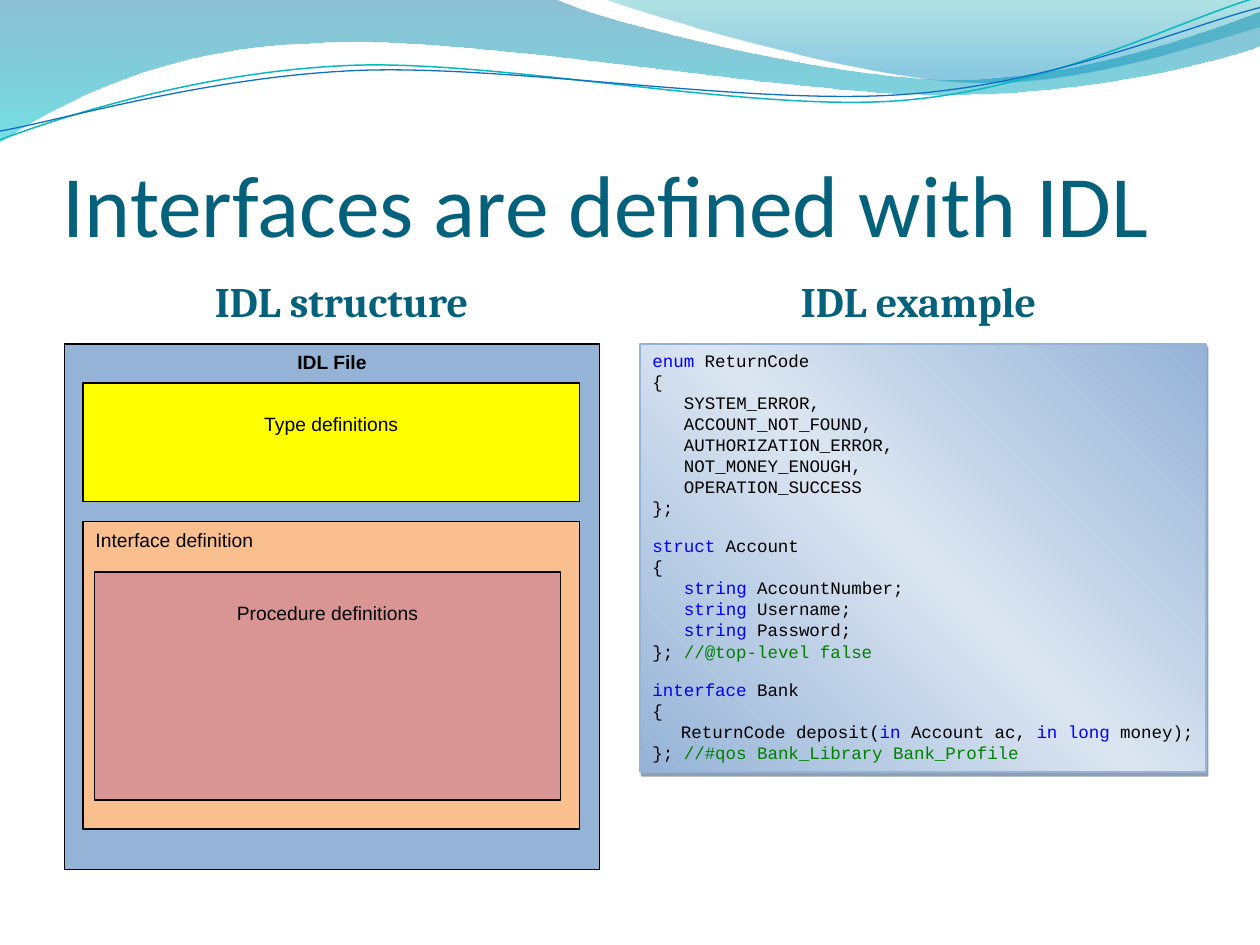
import pptx
import pptx.util
import pptx.dml.color
import pptx.enum.shapes
import pptx.enum.text
import pptx.oxml
import pptx.oxml.ns
from dataclasses import dataclass

Inches = pptx.util.Inches
Pt = pptx.util.Pt
ALIGN = pptx.enum.text.PP_ALIGN
ANCHOR = pptx.enum.text.MSO_ANCHOR
qn = pptx.oxml.ns.qn


@dataclass(frozen=True)
class Theme:
    heading: str = "04617B"
    text: str = "000000"
    keyword: str = "0000FF"
    comment: str = "008000"
    file: str = "95B3D7"
    types: str = "FFFF00"
    interface: str = "FABF8F"
    procedures: str = "D99594"
    code_light: str = "DBE5F1"
    code_shadow: str = "243F60"
    teal_line: str = "0AB8BF"
    blue_line: str = "0F6FC6"
    wave_back: tuple = ((0, "0074A1", 45), (100, "00C6CF", 55))
    wave_front: tuple = ((0, "00A1A9", 30), (80, "008BBF", 45))
    title_font: str = "Calibri"
    heading_font: str = "Cambria"
    box_font: str = "Arial"
    code_font: str = "Courier New"
    title_size: float = 50
    heading_size: float = 24
    box_size: float = 11
    code_size: float = 10


def rgb(value):
    return pptx.dml.color.RGBColor.from_string(value)


def drawing_xml(tag, attributes="", inner=""):
    return pptx.oxml.parse_xml(
        f"<a:{tag} {pptx.oxml.ns.nsdecls('a')} {attributes}>{inner}</a:{tag}>")


def color_xml(color, alpha):
    return f'<a:srgbClr val="{color}"><a:alpha val="{alpha * 1000}"/></a:srgbClr>'


class Deck:
    def __init__(self, theme):
        self.theme = theme
        self.prs = pptx.Presentation()
        self.prs.slide_width, self.prs.slide_height = Inches(10), Inches(7.5)
        self.slide = self.prs.slides.add_slide(self.prs.slide_layouts[6])

    def outline(self, sp, color, width):
        sp.line.color.rgb = rgb(color)
        sp.line.width = Pt(width)

    def gradient(self, sp, stops, angle):
        sp.fill.background()
        inner = "".join(f'<a:gs pos="{pos * 1000}">{color_xml(color, alpha)}</a:gs>'
                        for pos, color, alpha in stops)
        grad = drawing_xml("gradFill", 'rotWithShape="1"',
                           f'<a:gsLst>{inner}</a:gsLst><a:lin ang="{angle * 60000}" scaled="0"/>')
        props = sp.element.spPr
        props.replace(props.find(qn("a:noFill")), grad)

    def wave(self, start, segments, stops=None, line=None, width=0.75):
        points = [(Inches(x), Inches(y)) for seg in segments
                  for x, y in zip(seg[::2], seg[1::2])]
        builder = self.slide.shapes.build_freeform(*map(Inches, start), scale=1.0)
        builder.add_line_segments(points, close=stops is not None)
        sp = builder.convert_to_shape()
        steps = iter(list(sp.element.iter(qn("a:lnTo"))))
        for seg in segments:
            group = [next(steps) for _ in range(len(seg) // 2)]
            if len(group) == 3:
                curve = drawing_xml("cubicBezTo")
                group[0].addprevious(curve)
                for step in group:
                    curve.append(step[0])
                    step.getparent().remove(step)
        sp.shadow.inherit = False
        if stops:
            self.gradient(sp, stops, 90)
            sp.line.fill.background()
        else:
            sp.fill.background()
            self.outline(sp, line, width)

    def run(self, p, text, font, size, color, bold=False):
        r = p.add_run()
        r.text = text
        r.font.name, r.font.size, r.font.bold = font, Pt(size), bold
        r.font.color.rgb = rgb(color)

    def frame(self, sp, anchor, left, top, right, bottom):
        tf = sp.text_frame
        tf.word_wrap = True
        tf.vertical_anchor = anchor
        tf.margin_left, tf.margin_top = Inches(left), Inches(top)
        tf.margin_right, tf.margin_bottom = Inches(right), Inches(bottom)
        return tf

    def title(self, text, box):
        sp = self.slide.shapes.add_textbox(*map(Inches, box))
        p = self.frame(sp, ANCHOR.BOTTOM, 0, 0.05, 0, 0).paragraphs[0]
        self.run(p, text, self.theme.title_font, self.theme.title_size, self.theme.heading)

    def heading(self, text, box):
        sp = self.slide.shapes.add_textbox(*map(Inches, box))
        p = self.frame(sp, ANCHOR.MIDDLE, 0.05, 0, 0.05, 0).paragraphs[0]
        p.alignment = ALIGN.CENTER
        p.space_before = Pt(4.8)
        self.run(p, text, self.theme.heading_font, self.theme.heading_size,
                 self.theme.heading, True)

    def rect(self, box):
        sp = self.slide.shapes.add_shape(pptx.enum.shapes.MSO_SHAPE.RECTANGLE, *map(Inches, box))
        sp.shadow.inherit = False
        return sp

    def block(self, text, box, fill, align=ALIGN.CENTER, top=0.05, bold=False):
        sp = self.rect(box)
        sp.fill.solid()
        sp.fill.fore_color.rgb = rgb(fill)
        self.outline(sp, self.theme.text, 0.75)
        p = self.frame(sp, ANCHOR.TOP, 0.1, top, 0.1, 0.05).paragraphs[0]
        p.alignment = align
        self.run(p, text, self.theme.box_font, self.theme.box_size, self.theme.text, bold)

    def code(self, lines, box):
        theme = self.theme
        sp = self.rect(box)
        self.gradient(sp, [(0, theme.file, 100), (50, theme.code_light, 100),
                           (100, theme.file, 100)], 315)
        self.outline(sp, theme.file, 1)
        sp.element.spPr.find(qn("a:effectLst")).append(drawing_xml(
            "outerShdw", f'dist="{Pt(2.2)}" dir="{63 * 60000}" algn="ctr" rotWithShape="0"',
            color_xml(theme.code_shadow, 50)))
        tf = self.frame(sp, ANCHOR.TOP, 0.1, 0.05, 0.1, 0.05)
        for i, (style, *runs) in enumerate(lines):
            p = tf.paragraphs[0] if i == 0 else tf.add_paragraph()
            p.alignment = ALIGN.RIGHT if style == "right" else ALIGN.LEFT
            if style == "gap":
                p.space_before = Pt(9.7)
            if style == "indent":
                p._p.get_or_add_pPr().set("marL", str(Inches(0.25)))
            for kind, text in runs:
                self.run(p, text, theme.code_font, theme.code_size, getattr(theme, kind))


def plain(text, style=""):
    return (style, ("text", text))


def member(name):
    return ("indent", ("keyword", "string"), ("text", f" {name};"))


def declare(keyword, name, style=""):
    return (style, ("keyword", keyword), ("text", f" {name}"))


def close(comment):
    return ("", ("text", "}; "), ("comment", comment))


def main():
    theme = Theme()
    deck = Deck(theme)
    deck.wave((0, 0), [(4.4, -0.01), (4.76, 0.17, 6.64, 0.63, 7.58, 0.63),
                       (8.53, 0.63, 9.58, 0.26, 10, 0.09), (10.01, 0.36),
                       (9.83, 0.44, 8.7, 0.76, 7.46, 0.75),
                       (6.22, 0.75, 3.82, 0.28, 2.57, 0.34),
                       (1.29, 0.36, 0.46, 0.83, -0.01, 1.13)], stops=theme.wave_back)
    deck.wave((4.79, -0.01), [(5.09, 0.11, 6.82, 0.62, 7.69, 0.65),
                              (8.56, 0.69, 9.61, 0.32, 10, 0.21), (10, 0)],
              stops=theme.wave_front)
    deck.wave((0, 1.11), [(0.48, 0.93, 1.58, 0.57, 2.77, 0.52),
                          (3.95, 0.47, 5.93, 0.89, 7.13, 0.8),
                          (8.33, 0.71, 9.38, 0.15, 9.98, -0.02)],
              line=theme.teal_line, width=0.85)
    deck.wave((0, 1.04), [(0.47, 0.96, 1.64, 0.61, 2.83, 0.56),
                          (4.03, 0.51, 5.97, 0.84, 7.17, 0.75),
                          (8.36, 0.67, 9.41, 0.21, 10, 0.06)], line=theme.blue_line)

    deck.title("Interfaces are defined with IDL", (0.5, 0.77, 9, 1.25))
    for text, left in (("IDL structure", 0.5), ("IDL example", 5.08)):
        deck.heading(text, (left, 2.03, 4.42, 0.72))

    deck.block("IDL File", (0.51, 2.73, 4.25, 4.17), theme.file, bold=True)
    deck.block("Type definitions", (0.66, 3.04, 3.94, 0.94), theme.types, top=0.23)
    deck.block("Interface definition", (0.66, 4.14, 3.94, 2.44), theme.interface, ALIGN.LEFT)
    deck.block("Procedure definitions", (0.75, 4.54, 3.7, 1.81), theme.procedures, top=0.23)

    codes = ("SYSTEM_ERROR,", "ACCOUNT_NOT_FOUND,", "AUTHORIZATION_ERROR,",
             "NOT_MONEY_ENOUGH,", "OPERATION_SUCCESS")
    deposit = ("right", ("text", "ReturnCode deposit("), ("keyword", "in"),
               ("text", " Account ac, "), ("keyword", "in long"), ("text", " money);"))
    deck.code([declare("enum", "ReturnCode"), plain("{"),
               *(plain(code, "indent") for code in codes), plain("};"),
               declare("struct", "Account", "gap"), plain("{"),
               *map(member, ("AccountNumber", "Username", "Password")),
               close("//@top-level false"),
               declare("interface", "Bank", "gap"), plain("{"), deposit,
               close("//#qos Bank_Library Bank_Profile")], (5.08, 2.73, 4.49, 3.4))
    deck.prs.save("out.pptx")


if __name__ == "__main__":
    main()
